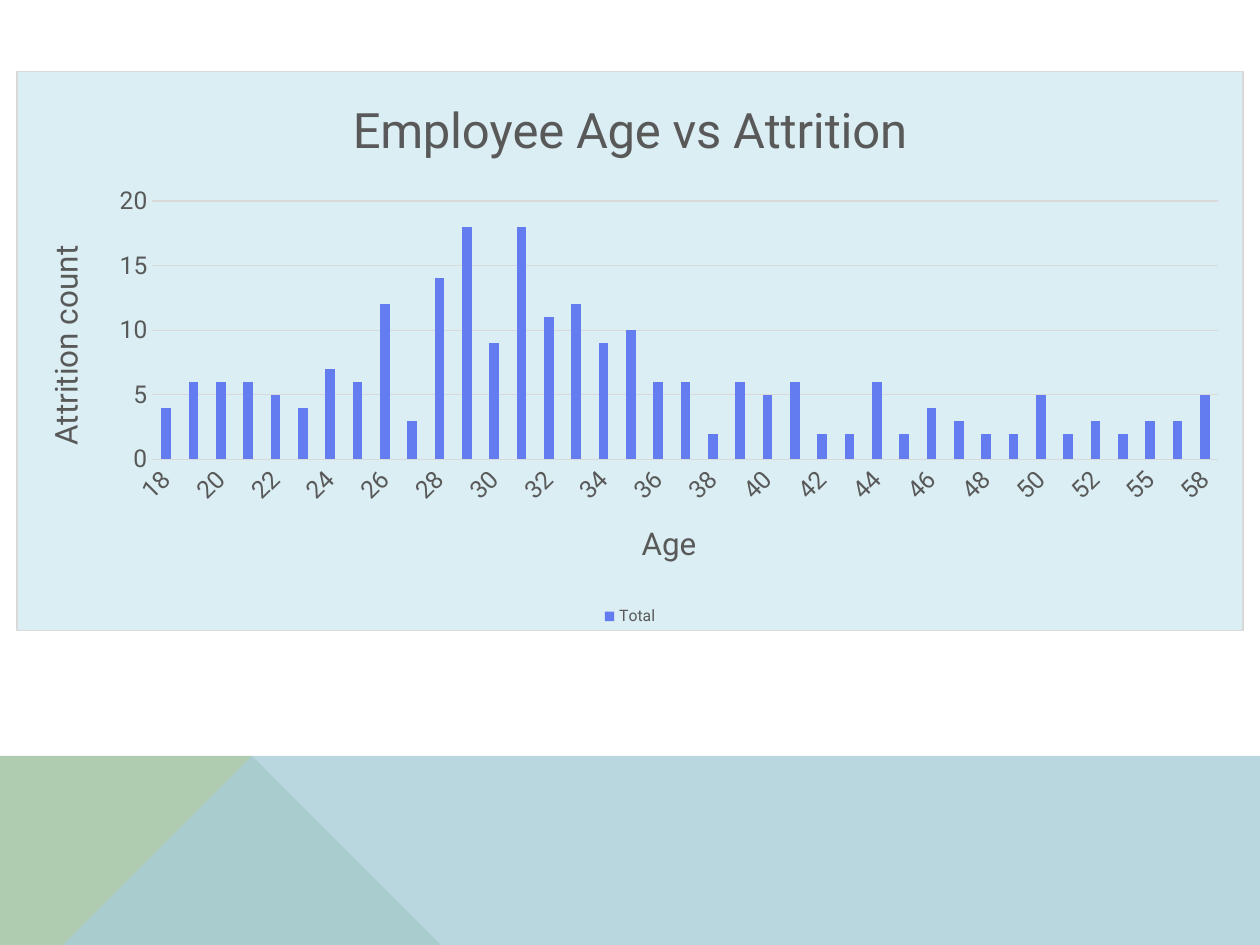
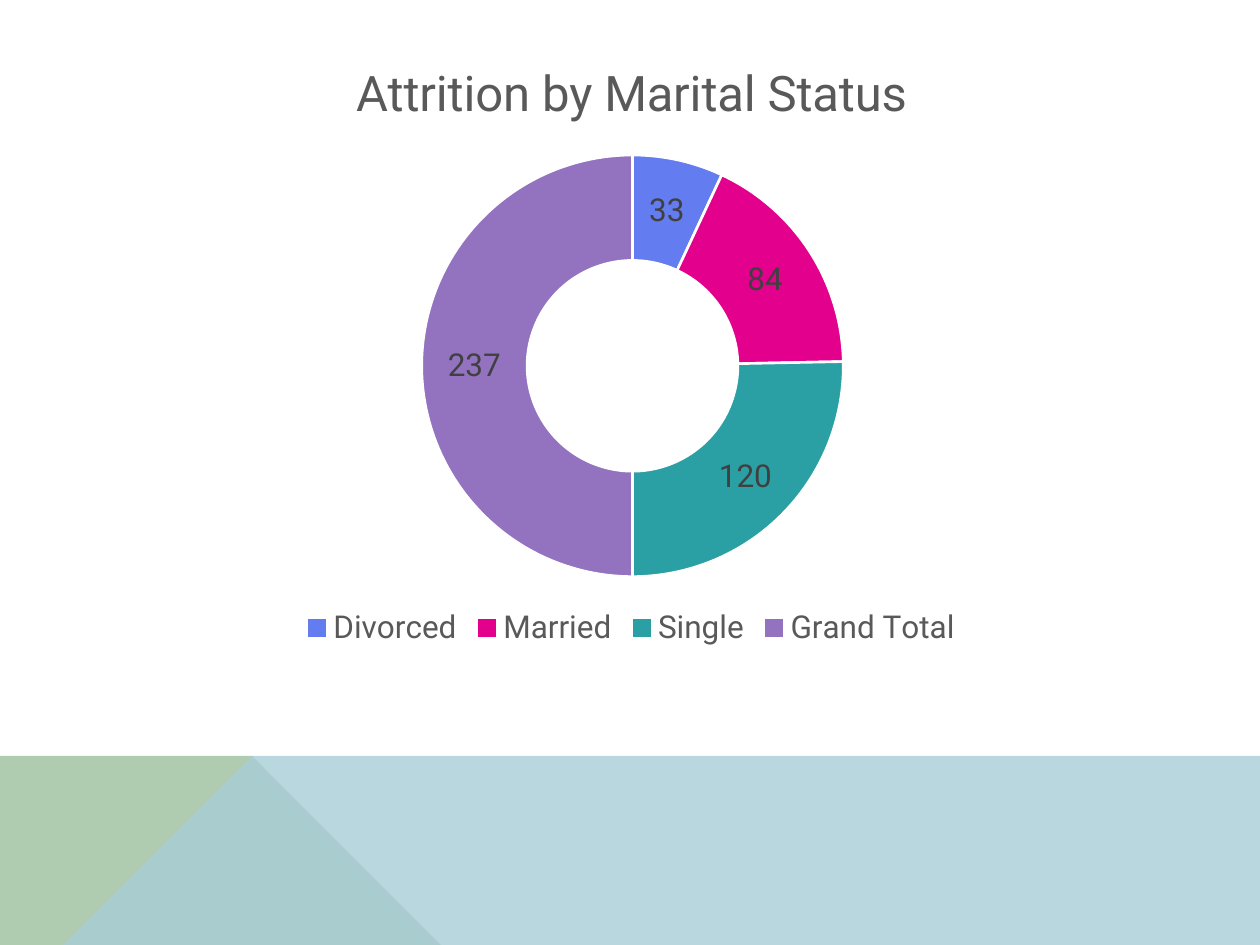
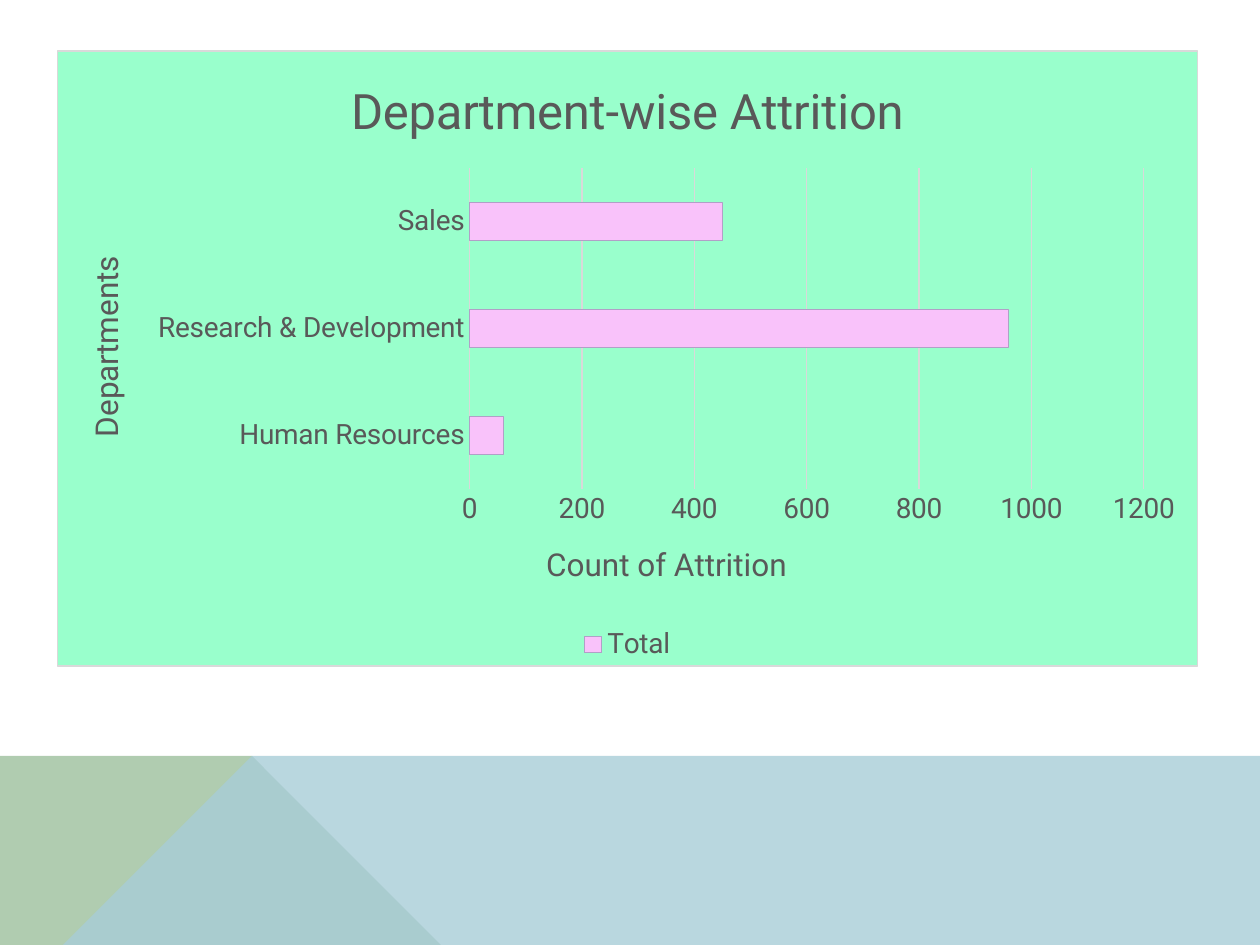
from pptx import Presentation
from pptx.chart.data import CategoryChartData
from pptx.dml.color import RGBColor
from pptx.enum.chart import XL_CHART_TYPE, XL_LEGEND_POSITION, XL_TICK_MARK
from pptx.oxml import parse_xml
from pptx.oxml.ns import nsdecls, qn
from pptx.util import Inches, Pt

COLUMN = XL_CHART_TYPE.COLUMN_CLUSTERED
BAR = XL_CHART_TYPE.BAR_CLUSTERED
DOUGHNUT = XL_CHART_TYPE.DOUGHNUT
LEGEND_BOTTOM = XL_LEGEND_POSITION.BOTTOM
NO_TICK = XL_TICK_MARK.NONE

FONT = "Roboto"
BLACK = RGBColor(0x00, 0x00, 0x00)
WHITE = RGBColor(0xFF, 0xFF, 0xFF)
TEXT_GRAY = RGBColor(0x59, 0x59, 0x59)
LABEL_GRAY = RGBColor(0x40, 0x40, 0x40)
LINE_GRAY = RGBColor(0xD9, 0xD9, 0xD9)
BAND_GREEN = RGBColor(0xB0, 0xCC, 0xB0)
BAND_BLUE = RGBColor(0xA8, 0xCD, 0xD7)
PALE_BLUE = RGBColor(0xDA, 0xEE, 0xF3)
MINT = RGBColor(0x99, 0xFF, 0xCC)
BLUE = RGBColor(0x63, 0x7C, 0xEF)
MAGENTA = RGBColor(0xE3, 0x00, 0x8C)
TEAL = RGBColor(0x2A, 0xA0, 0xA4)
PURPLE = RGBColor(0x93, 0x73, 0xC0)
PINK = RGBColor(0xF9, 0xC2, 0xFA)
LILAC = RGBColor(0xB1, 0xA0, 0xC7)


def style_font(font, size, color=TEXT_GRAY):
    font.name = FONT
    font.size = Pt(size)
    font.bold = False
    font.color.rgb = color


def add_styled_chart(slide, kind, box, title, series_name, values_by_category, legend_size):
    data = CategoryChartData()
    data.categories = list(values_by_category)
    data.add_series(series_name, list(values_by_category.values()))
    chart = slide.shapes.add_chart(kind, *[Inches(length) for length in box], data).chart
    style_font(chart.font, 10, BLACK)
    chart.has_title = True
    chart.chart_title.text_frame.text = title
    style_font(chart.chart_title.text_frame.paragraphs[0].font, 28)
    chart.has_legend = True
    chart.legend.position = LEGEND_BOTTOM
    chart.legend.include_in_layout = False
    style_font(chart.legend.font, legend_size)
    return chart


presentation = Presentation()
presentation.slide_width = Inches(10)
presentation.slide_height = Inches(7.5)
blank_layout = presentation.slide_layouts[6]
age_slide, marital_slide, department_slide = [
    presentation.slides.add_slide(blank_layout) for _ in range(3)
]

# Bottom bands, moved to the master so that every slide shares them
bands = [
    (BAND_GREEN, 100, [(0, 7.5), (0, 5.52), (2.23, 5.52), (3.91, 7.5)]),
    (BAND_BLUE, 80, [(0, 7.5), (2.23, 5.52), (10, 5.53), (10, 7.5)]),
]
for color, opacity, points in bands:
    builder = age_slide.shapes.build_freeform(*points[0], scale=Inches(1))
    builder.add_line_segments(points[1:], close=True)
    band = builder.convert_to_shape()
    band.shadow.inherit = False
    band.fill.solid()
    band.fill.fore_color.rgb = color
    band.line.fill.background()
    if opacity < 100:
        fill_color = band.element.spPr.find(qn("a:solidFill"))[0]
        fill_color.append(parse_xml(f'<a:alpha {nsdecls("a")} val="{opacity * 1000}"/>'))
    presentation.slide_master.shapes.element.append(band.element)

# Attrition counts
ages = [*range(18, 54), 55, 56, 58]
age_counts = [4, 6, 6, 6, 5, 4, 7, 6, 12, 3, 14, 18, 9, 18, 11, 12, 9, 10, 6, 6,
              2, 6, 5, 6, 2, 2, 6, 2, 4, 3, 2, 2, 5, 2, 3, 2, 3, 3, 5]
attrition_by_age = {str(age): count for age, count in zip(ages, age_counts)}
attrition_by_status = {"Divorced": 33, "Married": 84, "Single": 120, "Grand Total": 237}
attrition_by_department = {"Human Resources": 60, "Research & Development": 960, "Sales": 450}

# Slides 1 and 3: column and bar charts on a coloured panel
age_chart = add_styled_chart(age_slide, COLUMN, (0.13, 0.56, 9.74, 4.45),
                             "Employee Age vs Attrition", "Total", attrition_by_age, 9)
department_chart = add_styled_chart(department_slide, BAR, (0.45, 0.4, 9.06, 4.89),
                                    "Department-wise Attrition", "Total",
                                    attrition_by_department, 16)
axis_charts = [
    (age_chart, "Age", "Attrition count", 14, PALE_BLUE, BLUE, None),
    (department_chart, "Departments", "Count of Attrition", 16, MINT, PINK, LILAC),
]
for chart, category_title, value_title, label_size, panel, bar_fill, bar_line in axis_charts:
    chart.element.find(qn("c:chart")).addnext(parse_xml(
        f'<c:spPr {nsdecls("c", "a")}>'
        f'<a:solidFill><a:srgbClr val="{panel}"/></a:solidFill>'
        f'<a:ln w="{Pt(0.75)}"><a:solidFill><a:srgbClr val="{LINE_GRAY}"/></a:solidFill></a:ln>'
        '</c:spPr>'))
    plot = chart.plots[0]
    plot.gap_width = 182
    plot.vary_by_categories = False
    bars = plot.series[0].format
    bars.fill.solid()
    bars.fill.fore_color.rgb = bar_fill
    if bar_line:
        bars.line.color.rgb = bar_line
        bars.line.width = Pt(0.75)
    for axis, axis_title in [(chart.category_axis, category_title),
                             (chart.value_axis, value_title)]:
        axis.has_title = True
        axis.axis_title.text_frame.text = axis_title
        style_font(axis.axis_title.text_frame.paragraphs[0].font, 18)
        style_font(axis.tick_labels.font, label_size)
        axis.major_tick_mark = NO_TICK
        axis.minor_tick_mark = NO_TICK
    chart.category_axis.has_major_gridlines = False
    chart.value_axis.has_major_gridlines = True
    chart.value_axis.format.line.fill.background()
    for line in (chart.category_axis.format.line,
                 chart.value_axis.major_gridlines.format.line):
        line.color.rgb = LINE_GRAY
        line.width = Pt(0.75)

# Slanted age labels
age_label_body = age_chart.element.find(
    ".//" + qn("c:catAx") + "/" + qn("c:txPr") + "/" + qn("a:bodyPr"))
age_label_body.set("rot", str(-45 * 60000))

# Slide 2: doughnut chart
status_chart = add_styled_chart(marital_slide, DOUGHNUT, (0.53, 0.26, 8.96, 4.92),
                                "Attrition by Marital Status", "Series 1",
                                attrition_by_status, 18)
status_chart.element.find(qn("c:chart")).addnext(parse_xml(
    f'<c:spPr {nsdecls("c", "a")}><a:noFill/><a:ln><a:noFill/></a:ln></c:spPr>'))
status_chart.element.find(".//" + qn("c:holeSize")).set("val", "42")
ring = status_chart.plots[0]
ring.vary_by_categories = True
for index, color in enumerate([BLUE, MAGENTA, TEAL, PURPLE]):
    segment = ring.series[0].points[index].format
    segment.fill.solid()
    segment.fill.fore_color.rgb = color
    segment.line.color.rgb = WHITE
    segment.line.width = Pt(1.5)
labels = ring.series[0].data_labels
labels.show_value = True
labels.show_percentage = False
style_font(labels.font, 18, LABEL_GRAY)

presentation.save("out.pptx")
